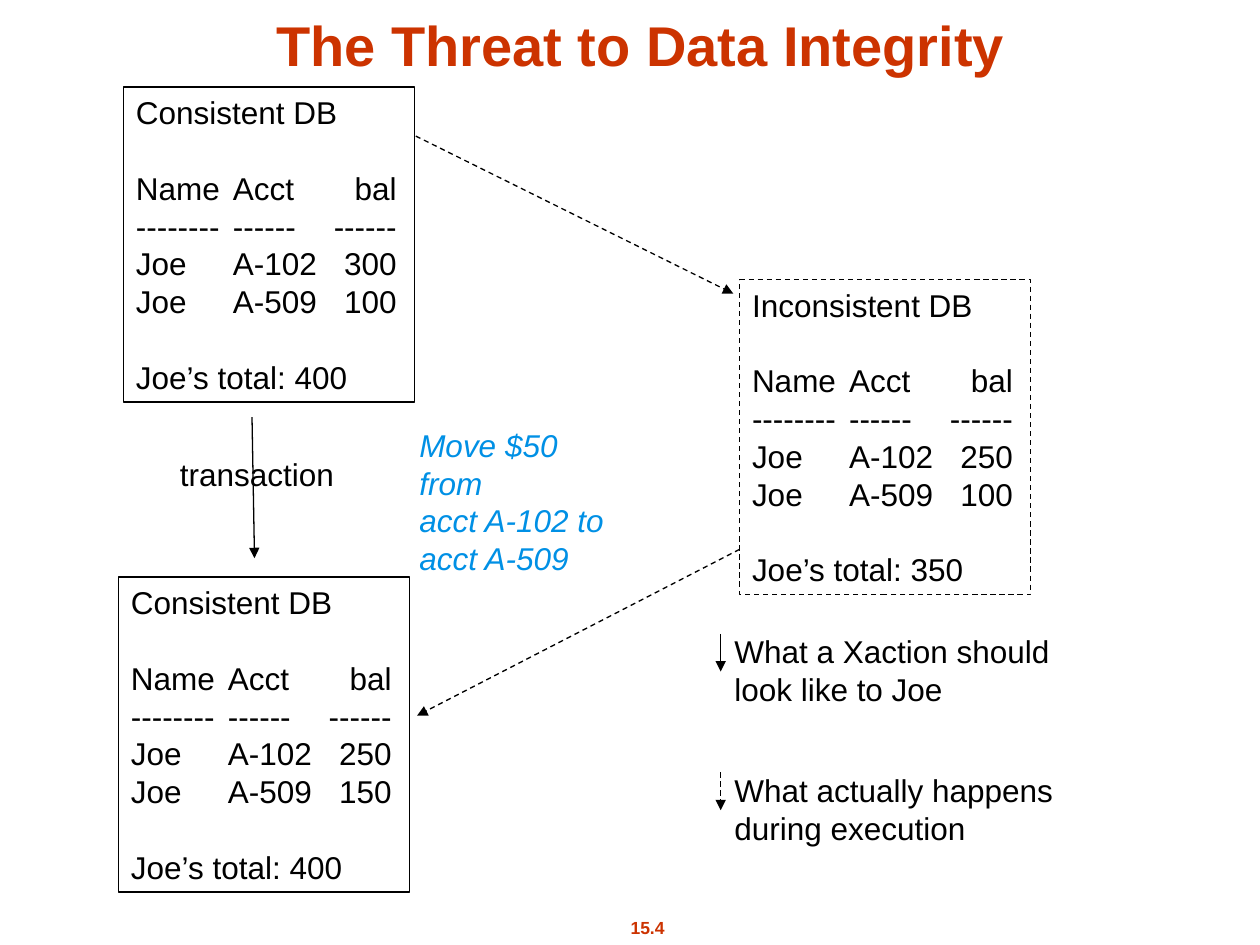
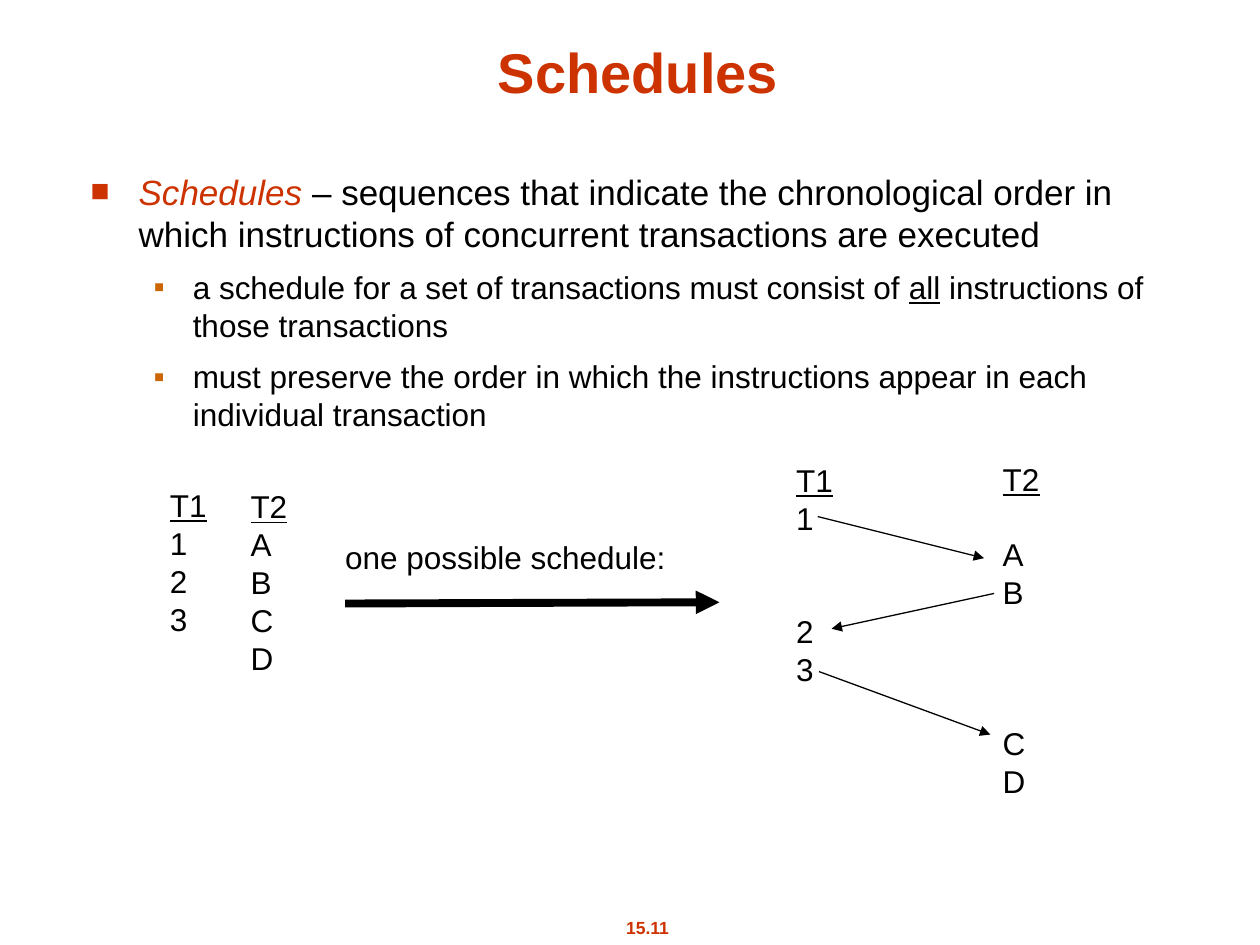
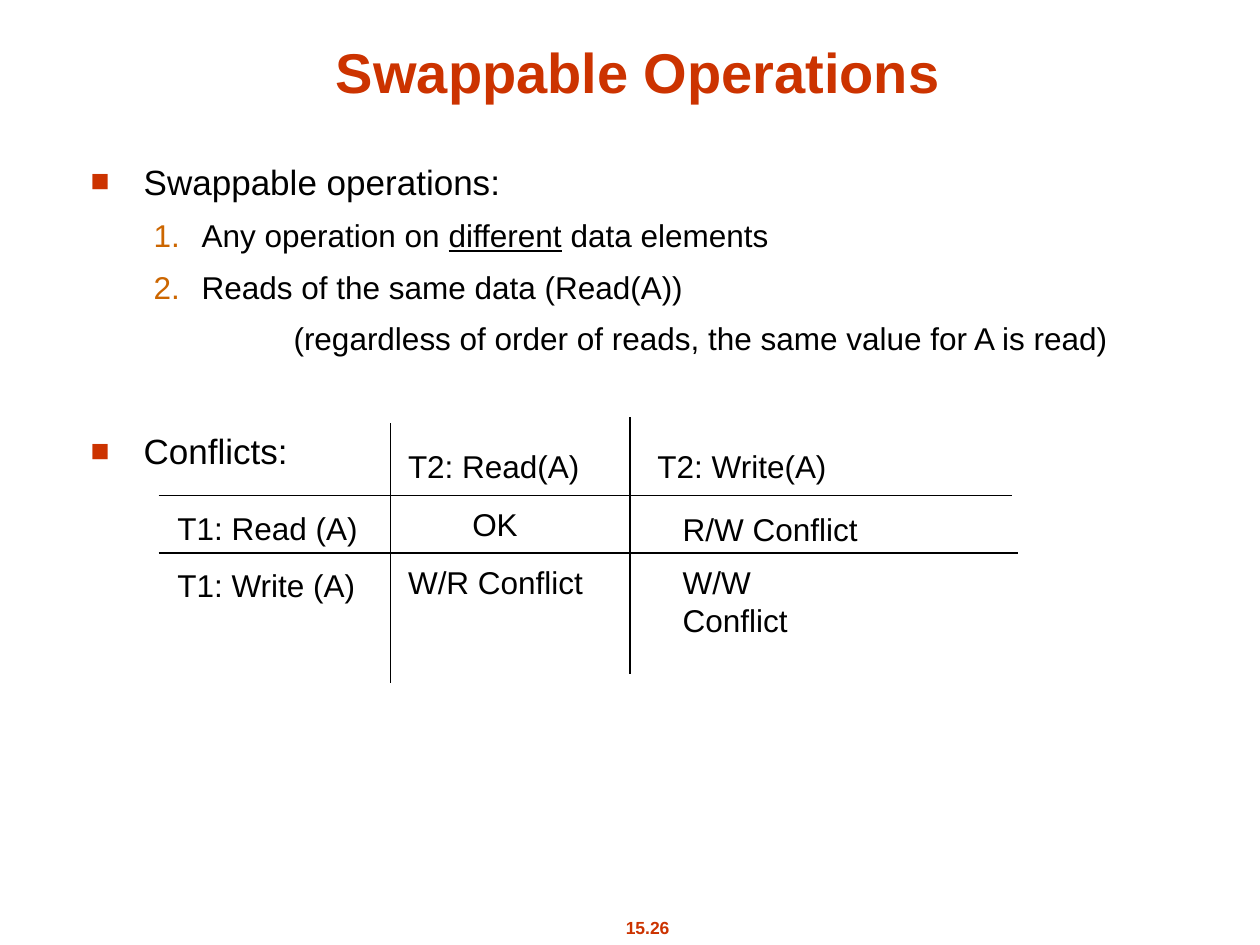
from dataclasses import dataclass

from lxml import etree
from pptx import Presentation
from pptx.dml.color import RGBColor
from pptx.enum.dml import MSO_LINE
from pptx.enum.shapes import MSO_CONNECTOR, MSO_SHAPE
from pptx.enum.text import MSO_ANCHOR, MSO_AUTO_SIZE, PP_ALIGN
from pptx.oxml.ns import qn
from pptx.util import Inches, Pt


@dataclass(frozen=True)
class Theme:
    font: str = "Arial"
    accent: str = "CC3300"
    sub_bullet: str = "CC6600"
    note: str = "0090E5"
    ink: str = "000000"
    title: int = 32
    body: int = 20
    text: int = 18
    number: int = 10
    leading: float = 1.2
    thin: float = 0.75
    thick: float = 4.5


THEME = Theme()
LINE_HEIGHT = THEME.text * THEME.leading
TITLE_ONLY, TITLE_AND_BODY = 5, 1


def rgb(value):
    return RGBColor.from_string(value)


def place(sp, left, top, width, height):
    sp.left, sp.top = Inches(left), Inches(top)
    sp.width, sp.height = Inches(width), Inches(height)


def add_run(p, text, size=THEME.text, color=THEME.ink, bold=False,
            italic=False, underline=False):
    r = p.add_run()
    r.text = text
    font = r.font
    font.name, font.size, font.color.rgb = THEME.font, Pt(size), rgb(color)
    font.bold, font.italic, font.underline = bold, italic, underline


def next_paragraph(tf, size=THEME.text, before=0):
    """Return the empty first paragraph, or a new one with space before it."""
    first = tf.paragraphs[0]
    p = first if not first.runs else tf.add_paragraph()
    p.line_spacing = Pt(size * THEME.leading)
    p.space_before = Pt(0 if p is first else before)
    return p


def add_child(parent, tag, **attrs):
    return etree.SubElement(parent, qn(tag), attrs)


def add_tabs(p, *stops):
    tabs = add_child(p._p.get_or_add_pPr(), "a:tabLst")
    for position, align in stops:
        add_child(tabs, "a:tab", pos=str(Inches(position)), algn=align)


def add_text(slide, left, top, width, height, *lines, before=0, **style):
    tf = slide.shapes.add_textbox(
        Inches(left), Inches(top), Inches(width), Inches(height)).text_frame
    tf.word_wrap = False
    for line in lines:
        add_run(next_paragraph(tf, before=before), line, **style)
    return tf


def add_line(slide, start, end, width=THEME.thin, dashed=False, arrow=True):
    line = slide.shapes.add_connector(
        MSO_CONNECTOR.STRAIGHT, *(Inches(v) for v in (*start, *end)))
    line.line.color.rgb = rgb(THEME.ink)
    line.line.width = Pt(width)
    if dashed:
        line.line.dash_style = MSO_LINE.DASH
    if arrow:
        add_child(line.line._get_or_add_ln(), "a:tailEnd", type="triangle")
    add_child(line._element.spPr, "a:effectLst")


def add_slide(prs, layout, title, number, left=0.65, top=0.21):
    slide = prs.slides.add_slide(prs.slide_layouts[layout])
    sp = slide.shapes.title
    place(sp, left, top, 8.83, 0.67)
    tf = sp.text_frame
    tf.auto_size = MSO_AUTO_SIZE.NONE
    tf.vertical_anchor = MSO_ANCHOR.BOTTOM
    p = tf.paragraphs[0]
    p.alignment = PP_ALIGN.CENTER
    add_run(p, title, THEME.title, THEME.accent, bold=True)

    footer = add_text(slide, 4.61, 7.23, 1.06, 0.27)
    p = next_paragraph(footer, THEME.number)
    p.alignment = PP_ALIGN.CENTER
    add_run(p, f"15.{number}", THEME.number, THEME.accent, bold=True)
    return slide


def body_frame(slide, top, height):
    sp = slide.placeholders[1]
    place(sp, 0.62, top, 8.58, height)
    sp.text_frame.auto_size = MSO_AUTO_SIZE.NONE
    return sp.text_frame


def add_item(tf, runs, margin, hanging, level=0, bullet=None, before=None):
    """Add a list item; bullet is a character, "1." for numbers, or None.

    Each run is a (text, style) pair.
    """
    size = THEME.text if level else THEME.body
    if before is None:
        before = 7.9 if level else 8.8
    p = next_paragraph(tf, size, before)
    p.level = level
    pPr = p._p.get_or_add_pPr()
    pPr.set("marL", str(Inches(margin)))
    pPr.set("indent", str(-Inches(hanging)))
    if bullet is None:
        add_child(pPr, "a:buNone")
    else:
        color = add_child(pPr, "a:buClr")
        add_child(color, "a:srgbClr",
                  val=THEME.sub_bullet if level else THEME.accent)
        add_child(pPr, "a:buSzPct", val="100000" if level else "90000")
        add_child(pPr, "a:buFont", typeface=THEME.font)
        if bullet == "1.":
            add_child(pPr, "a:buAutoNum", type="arabicPeriod")
        else:
            add_child(pPr, "a:buChar", char=bullet)
    for text, style in runs:
        add_run(p, text, size, **style)


def add_database(slide, left, top, state, balances, total, dashed=False):
    sp = slide.shapes.add_shape(MSO_SHAPE.RECTANGLE, Inches(left), Inches(top),
                                Inches(2.31), Inches(2.5))
    sp.shadow.inherit = False
    sp.fill.background()
    sp.line.color.rgb = rgb(THEME.ink)
    sp.line.width = Pt(THEME.thin)
    if dashed:
        sp.line.dash_style = MSO_LINE.DASH
    tf = sp.text_frame
    tf.vertical_anchor = MSO_ANCHOR.TOP
    rows = [("Name", "Acct", "bal"), ("--------", "------", "------")]
    rows += [("Joe", account, str(balance))
             for account, balance in zip(("A-102", "A-509"), balances)]
    lines = [state, *("\t".join(row) for row in rows), f"Joe’s total: {total}"]
    for i, line in enumerate(lines):
        starts_block = i in (1, len(lines) - 1)
        p = next_paragraph(tf, before=LINE_HEIGHT if starts_block else 0)
        p.alignment = PP_ALIGN.LEFT
        if "\t" in line:
            add_tabs(p, (0.77, "l"), (2.07, "r"))
        add_run(p, line)


def add_transaction(slide, left, top, name, steps):
    """List a transaction's steps under its name; None leaves a step's row free."""
    tf = add_text(slide, left, top, 0.49, 0.1 + 0.3 * (len(steps) + 1),
                  name, underline=True)
    skipped = 0
    for step in steps:
        if step is None:
            skipped += 1
        else:
            add_run(next_paragraph(tf, before=skipped * LINE_HEIGHT), step)
            skipped = 0


def integrity_slide(prs):
    slide = add_slide(prs, TITLE_ONLY, "The Threat to Data Integrity", 4,
                      left=0.67, top=0)
    add_database(slide, 0.98, 0.69, "Consistent DB", (300, 100), 400)
    add_database(slide, 0.94, 4.58, "Consistent DB", (250, 150), 400)
    add_database(slide, 5.87, 2.22, "Inconsistent DB", (250, 100), 350,
                 dashed=True)
    add_line(slide, (2, 3.31), (2.02, 4.43))
    add_text(slide, 1.33, 3.56, 1.42, 0.4, "transaction")
    add_line(slide, (3.3, 1.08), (5.82, 2.33), dashed=True)
    add_line(slide, (5.87, 4.36), (3.31, 5.68), dashed=True)
    add_text(slide, 3.23, 3.33, 1.86, 1, "Move $50 from", "acct A-102 to",
             "acct A-509", color=THEME.note, italic=True)
    legend = [(4.97, False, ("What a Xaction should", "look like to Joe")),
              (6.07, True, ("What actually happens", "during execution"))]
    for top, dashed, lines in legend:
        add_text(slide, 5.73, top, 2.77, 0.7, *lines)
        add_line(slide, (5.72, top + 0.06), (5.72, top + 0.36), dashed=dashed)


def schedules_slide(prs):
    slide = add_slide(prs, TITLE_AND_BODY, "Schedules", 11)
    tf = body_frame(slide, 1.3, 3.78)
    add_item(tf, [("Schedules", {"color": THEME.accent, "italic": True}),
                  (" – sequences that indicate the chronological order in which "
                   "instructions of concurrent transactions are executed", {})],
             0.38, 0.38, bullet="■")
    rules = [
        [("a schedule for a set of transactions must consist of ", {}),
         ("all", {"underline": True}),
         (" instructions of those transactions", {})],
        [("must preserve the order in which the instructions appear in each "
          "individual transaction", {})],
    ]
    for runs in rules:
        add_item(tf, runs, 0.81, 0.31, level=1, bullet="▪")

    add_transaction(slide, 1.25, 3.81, "T1", "123")
    add_transaction(slide, 1.89, 3.82, "T2", "ABCD")
    add_transaction(slide, 6.22, 3.61, "T1", ["1", None, None, "2", "3"])
    add_transaction(slide, 7.86, 3.6, "T2",
                    [None, "A", "B", None, None, None, "C", "D"])
    for start, end in [((6.49, 4.1), (7.81, 4.43)),
                       ((7.89, 4.71), (6.6, 4.99)),
                       ((6.5, 5.33), (7.86, 5.83))]:
        add_line(slide, start, end)
    add_line(slide, (2.74, 4.79), (5.71, 4.78), width=THEME.thick)
    add_text(slide, 2.64, 4.22, 2.74, 0.4, "one possible schedule:")


def swappable_slide(prs):
    slide = add_slide(prs, TITLE_AND_BODY, "Swappable Operations", 26)
    tf = body_frame(slide, 1.22, 5.33)
    add_item(tf, [("Swappable operations:", {})], 0.42, 0.42, bullet="■")
    cases = [
        [("Any operation on ", {}), ("different", {"underline": True}),
         (" data elements", {})],
        [("Reads of the same data (Read(A))", {})],
    ]
    for runs in cases:
        add_item(tf, runs, 0.88, 0.38, level=1, bullet="1.")
    add_item(tf, [("(regardless of order of reads, the same value for A is read)",
                   {})], 1.61, 0, level=1)
    add_item(tf, [("Conflicts:", {})], 0.42, 0.42, bullet="■", before=41.6)

    add_text(slide, 1.31, 3.99, 2.63, 0.86, "T1: Read (A)", "T1: Write (A)",
             before=11.2)
    for left, top, width, text in [(3.14, 3.5, 1.56, "T2: Read(A)"),
                                   (5.12, 3.5, 1.6, "T2: Write(A)"),
                                   (3.65, 3.96, 0.56, "OK"),
                                   (5.32, 4, 1.59, "R/W Conflict"),
                                   (3.14, 4.42, 1.59, "W/R Conflict"),
                                   (5.32, 4.42, 1.64, "W/W Conflict")]:
        add_text(slide, left, top, width, 0.4, text)
    for start, end in [((5, 3.31), (5, 5.35)), ((3.1, 3.36), (3.1, 5.42)),
                       ((1.26, 3.93), (8.03, 3.93)),
                       ((1.26, 4.39), (8.08, 4.39))]:
        add_line(slide, start, end, arrow=False)


def main():
    prs = Presentation()
    prs.slide_width, prs.slide_height = Inches(10), Inches(7.5)
    integrity_slide(prs)
    schedules_slide(prs)
    swappable_slide(prs)
    prs.save("out.pptx")


if __name__ == "__main__":
    main()
